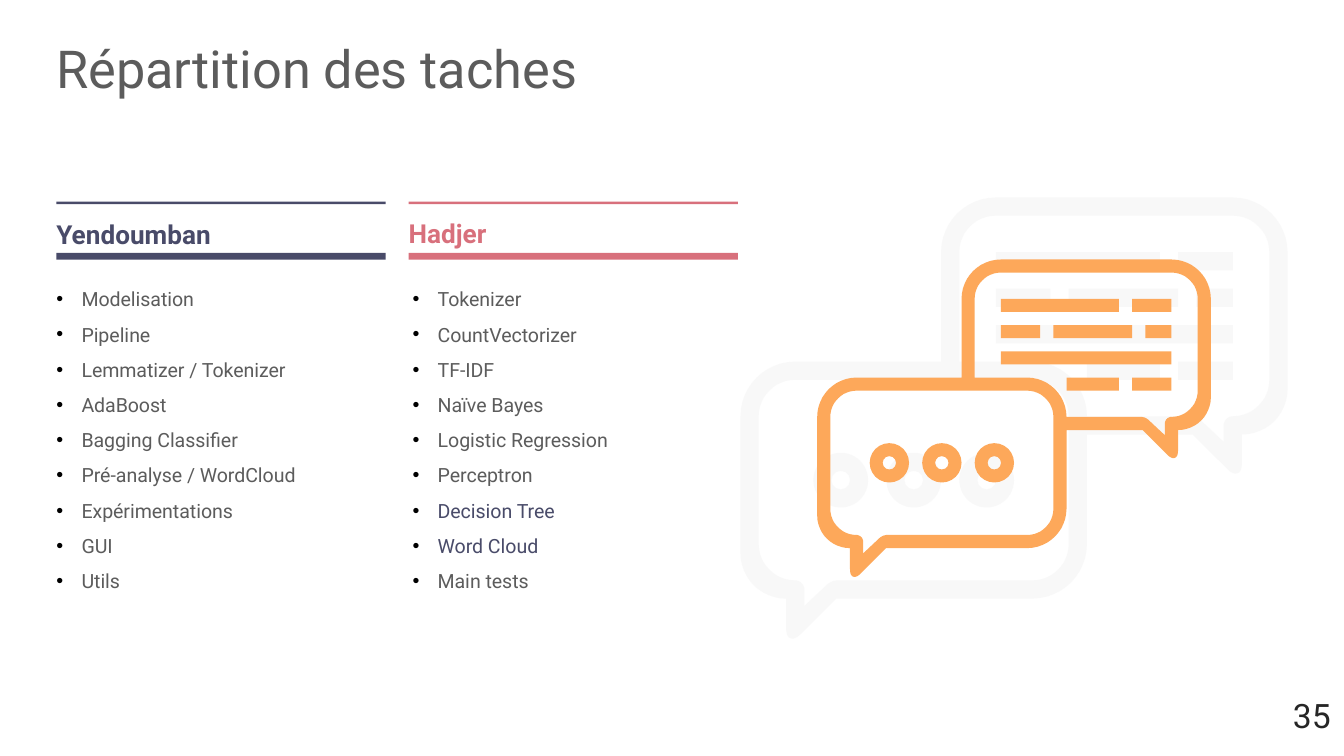
from lxml import etree
from pptx import Presentation
from pptx.dml.color import RGBColor
from pptx.enum import shapes, text
from pptx.oxml import ns
from pptx.util import Pt

GREY = RGBColor(0x5C, 0x5C, 0x5C)
NAVY = RGBColor(0x49, 0x4B, 0x69)
ROSE = RGBColor(0xD8, 0x70, 0x7C)
ORANGE = RGBColor(0xFD, 0xA8, 0x5A)
PALE = RGBColor(0xF2, 0xF2, 0xF2)
DARK = RGBColor(0x26, 0x26, 0x26)
WHITE = RGBColor(0xFF, 0xFF, 0xFF)
RECT = shapes.MSO_SHAPE.RECTANGLE
DONUT = shapes.MSO_SHAPE.DONUT
COL_W = 176.4

# Chat icon on a grid of 30 by 24 cells; corners are (x, y, rounding)
BUBBLES = [
    [(11, 0, 3), (30, 0, 3), (30, 13, 2.5), (27.5, 13, 0), (27.5, 15.7, 1.15),
     (24.8, 13, 0), (19, 13, 0), (19, 22, 3), (5.25, 22, 0), (2.5, 24.75, 1.15),
     (2.5, 22, 0), (0, 22, 2.5), (0, 9, 3), (11, 9, 0)],
    [(1, 10, 2), (18, 10, 2), (18, 21, 2), (5, 21, 0.3), (3.5, 22.4, 0),
     (3.5, 21, 0.5), (1, 21, 2)],
    [(12, 1, 2), (29, 1, 2), (29, 12, 2), (26.5, 12, 0.5), (26.5, 13.4, 0),
     (25, 12, 0.3), (19, 12, 0), (19, 9, 3), (12, 9, 0)],
]
DOTS = [(x, 14, 3, 3) for x in (4, 8, 12)]
BARS = [(x, y, w, 1) for x, y, w in (
    (14, 3, 9), (24, 3, 3), (14, 5, 3), (18, 5, 6), (25, 5, 2),
    (14, 7, 13), (19, 9, 4), (24, 9, 3))]


def rounded(corners, steps=12):
    """Points, in hundredths of a cell, of a closed outline with Bezier corners."""
    points = []
    for i, (x, y, radius) in enumerate(corners):
        if not radius:
            points.append((x * 100, y * 100))
            continue
        ends = []
        for nx, ny, _ in (corners[i - 1], corners[(i + 1) % len(corners)]):
            k = radius / ((nx - x) ** 2 + (ny - y) ** 2) ** 0.5
            ends.append((x + (nx - x) * k, y + (ny - y) * k))
        (ax, ay), (bx, by) = ends
        for step in range(steps + 1):
            t = step / steps
            a = (1 - t) ** 3 + 3 * t * (1 - t) ** 2 * 0.45
            b = t ** 3 + 3 * t ** 2 * (1 - t) * 0.45
            points.append(((x + a * (ax - x) + b * (bx - x)) * 100,
                           (y + a * (ay - y) + b * (by - y)) * 100))
    return points


def add_text(box, anchor, lines, size, bold=False, margin=0, **paragraph):
    """Write (text, colour) lines, one to a paragraph."""
    tf = box.text_frame
    tf.word_wrap = True
    tf.vertical_anchor = anchor
    if margin is not None:
        for side in ("left", "top", "right", "bottom"):
            setattr(tf, f"margin_{side}", margin)
    for i, (words, color) in enumerate(lines):
        p = tf.add_paragraph() if i else tf.paragraphs[0]
        for name, value in paragraph.items():
            setattr(p, name, value)
        r = p.add_run()
        r.text = words
        for name, value in {"name": "Roboto", "size": Pt(size), "bold": bold}.items():
            setattr(r.font, name, value)
        r.font.color.rgb = color
    return tf


prs = Presentation()
prs.slide_width, prs.slide_height = Pt(720), Pt(405)
s = prs.slides.add_slide(prs.slide_layouts[6])

# Chat icons: large pale one behind, smaller orange one in front
for left, top, cell, color, alpha in ((396.7, 105.8, 9.77, PALE, 50),
                                      (437.8, 139, 7.03, ORANGE, 100)):
    group = s.shapes.add_group_shape().shapes
    outlines = [rounded(corners) for corners in BUBBLES]
    builder = group.build_freeform(*outlines[0][0], scale=Pt(cell) / 100)
    for i, outline in enumerate(outlines):
        if i:
            builder.move_to(*outline[0])
        builder.add_line_segments(outline[1:], close=True)
    parts = [builder.convert_to_shape(Pt(left), Pt(top))]
    for kind, frames in ((DONUT, DOTS), (RECT, BARS)):
        for x, y, w, h in frames:
            sp = group.add_shape(kind, Pt(left + x * cell), Pt(top + y * cell),
                                 Pt(w * cell), Pt(h * cell))
            if kind == DONUT:
                sp.adjustments[0] = 0.33
            parts.append(sp)
    for sp in parts:
        sp.shadow.inherit = False
        sp.line.fill.background()
        sp.fill.solid()
        sp.fill.fore_color.rgb = color
        if alpha < 100:
            clr = sp.fill._xPr.find(".//" + ns.qn("a:srgbClr"))
            etree.SubElement(clr, ns.qn("a:alpha"), val=str(alpha * 1000))

title = s.shapes.add_textbox(Pt(30.2), Pt(22.3), Pt(658.8), Pt(32.4))
add_text(title, text.MSO_ANCHOR.MIDDLE, [("Répartition des taches", GREY)], 28,
         line_spacing=0.9)

# One column of tasks per person
columns = [
    ("Yendoumban", NAVY, 30.2, 113.8, 30.2,
     ["Modelisation", "Pipeline", "Lemmatizer / Tokenizer", "AdaBoost",
      "Bagging Classifier", "Pré-analyse / WordCloud", "Expérimentations",
      "GUI", "Utils"]),
    ("Hadjer", ROSE, 218.9, 113, 221,
     ["Tokenizer", "CountVectorizer", "TF-IDF", "Naïve Bayes",
      "Logistic Regression", "Perceptron", "Decision Tree", "Word Cloud",
      "Main tests"]),
]
for person, color, left, name_top, list_left, tasks in columns:
    for top, height in ((108, 1.4), (135.5, 3.6)):
        rule = s.shapes.add_shape(RECT, Pt(left), Pt(top), Pt(COL_W), Pt(height))
        rule.shadow.inherit = False
        rule.line.fill.background()
        rule.fill.solid()
        rule.fill.fore_color.rgb = color
    heading = s.shapes.add_textbox(Pt(left), Pt(name_top), Pt(COL_W), Pt(20.2))
    add_text(heading, text.MSO_ANCHOR.MIDDLE, [(person, color)], 14, bold=True,
             line_spacing=1.2, space_after=Pt(10))
    task_box = s.shapes.add_textbox(Pt(list_left), Pt(147.6), Pt(COL_W), Pt(170))
    lines = [(task, NAVY if task in ("Decision Tree", "Word Cloud") else GREY)
             for task in tasks]
    tf = add_text(task_box, text.MSO_ANCHOR.TOP, lines, 10.5, line_spacing=1.5)
    for p in tf.paragraphs:
        pPr = p._p.get_or_add_pPr()
        pPr.set("marL", str(Pt(13.5)))
        pPr.set("indent", str(Pt(-13.5)))
        bullet_color = etree.SubElement(pPr, ns.qn("a:buClr"))
        etree.SubElement(bullet_color, ns.qn("a:srgbClr"), val="000000")
        etree.SubElement(pPr, ns.qn("a:buFont"), typeface="Arial")
        etree.SubElement(pPr, ns.qn("a:buChar"), char="•")

footer = s.shapes.add_shape(RECT, 0, Pt(369), Pt(720), Pt(36))
footer.shadow.inherit = False
footer.line.fill.background()
footer.fill.solid()
footer.fill.fore_color.rgb = WHITE
add_text(footer, text.MSO_ANCHOR.TOP, [("35", DARK)], 18, margin=None,
         alignment=text.PP_ALIGN.RIGHT)

prs.save("out.pptx")
